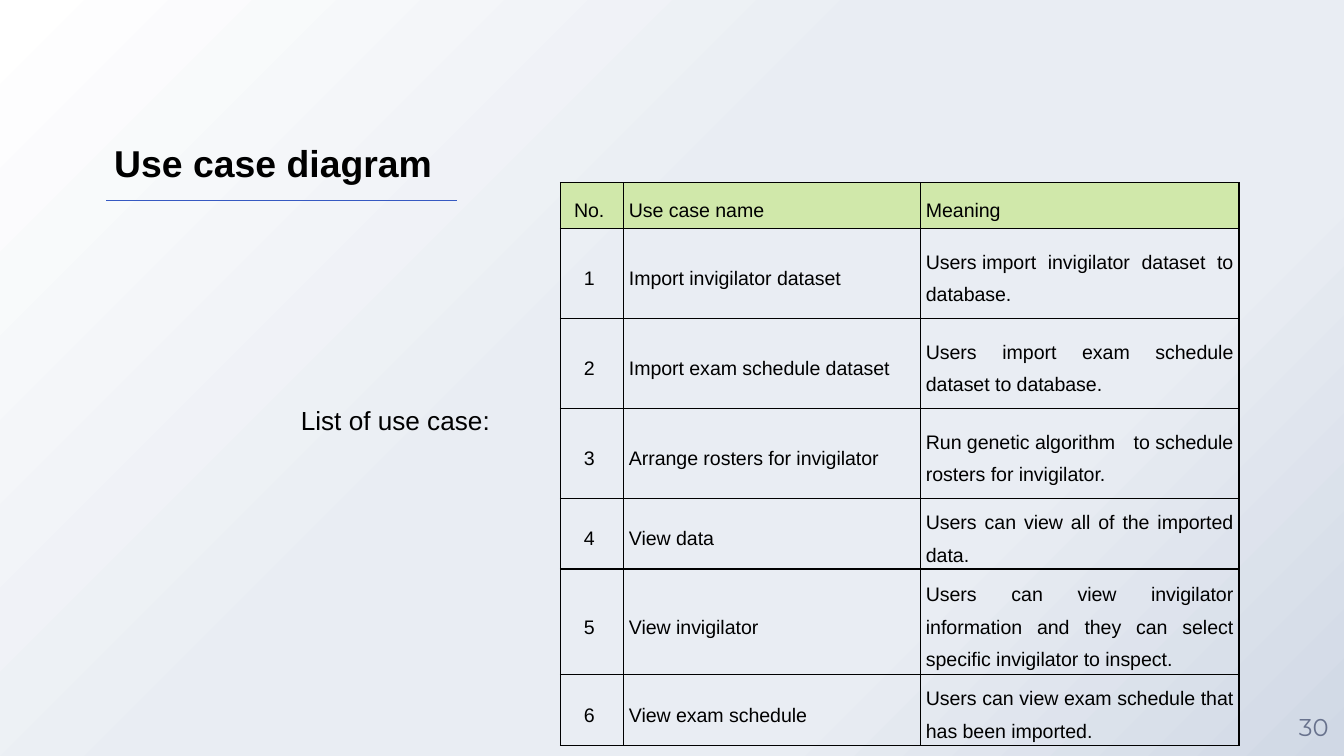
from lxml import etree
from pptx import Presentation
from pptx import util as u
from pptx.dml.color import RGBColor
from pptx.enum import shapes, text
from pptx.oxml import parse_xml
from pptx.oxml.ns import nsdecls, qn

WIDTH = 10
HEIGHT = WIDTH * 9 / 16
HARD_SPACE = chr(160)  # written as ~ in the table's words
COLORS = {
    "black": "000000",
    "header": "D0E8AA",
    "rule": "3659C2",
    "number": "68728D",
}
BACKGROUND_STOPS = [(0, "FFFFFF"), (44, "E9EDF3"), (72, "E9EDF3"), (100, "D0D8E5")]
COLUMN_WIDTHS = [0.47, 2.21, 2.37]
ROW_HEIGHTS = [0.34, 0.67, 0.67, 0.67, 0.41, 0.63, 0.41]
USE_CASES = [
    ("No.~", "Use case name~", "Meaning~"),
    ("1~", "Import invigilator dataset~", "Users~import invigilator dataset to database."),
    ("2~", "Import exam schedule dataset~", "Users import exam schedule dataset to database."),
    ("3~", "Arrange~rosters~for invigilator~",
     "Run~genetic~algorithm to~schedule rosters~for invigilator."),
    ("4~", "View data~", "Users can view all of the imported data.~"),
    ("5~", "View~invigilator~",
     "Users can view invigilator information and they can select specific invigilator to inspect."),
    ("6~", "View~exam schedule~~", "Users can view exam schedule that has been imported."),
]


def color(name):
    return RGBColor.from_string(COLORS[name])


def box(left, top, width, height):
    """Turn shares of the slide's size into lengths."""
    return [u.Inches(round(share * side, 2)) for share, side in
            ((left, WIDTH), (top, HEIGHT), (width, WIDTH), (height, HEIGHT))]


def write(text_frame, words, size, font="Arial", color_name="black", bold=False,
          align=text.PP_ALIGN.LEFT):
    text_frame.text = words
    paragraph = text_frame.paragraphs[0]
    paragraph.alignment = align
    run_font = paragraph.runs[0].font
    run_font.name, run_font.size, run_font.bold = font, u.Pt(size), bold
    run_font.color.rgb = color(color_name)
    return paragraph


def set_margins(target, side=0):
    target.margin_left = target.margin_right = u.Inches(side)
    target.margin_top = target.margin_bottom = 0


def paint_background(slide):
    slide.background.fill.gradient()
    gradient = slide.element.find(".//" + qn("a:gradFill"))
    stops = "".join(f'<a:gs pos="{share * 1000}"><a:srgbClr val="{value}"/></a:gs>'
                    for share, value in BACKGROUND_STOPS)
    gradient.getparent().replace(gradient, parse_xml(
        f'<a:gradFill {nsdecls("a")} rotWithShape="1"><a:gsLst>{stops}</a:gsLst>'
        '<a:path path="circle"><a:fillToRect r="100000" b="100000"/></a:path>'
        '</a:gradFill>'))


def add_title(slide, words):
    title = slide.shapes.title
    title.left, title.top, title.width, title.height = box(0.085, 0.078, 0.392, 0.167)
    frame = title.text_frame
    set_margins(frame)
    frame.vertical_anchor = text.MSO_ANCHOR.BOTTOM
    frame.auto_size = text.MSO_AUTO_SIZE.NONE
    write(frame, words, 20, bold=True)


def add_rule(slide, left, right, top):
    x, y, width, _ = box(left, top, right - left, 0)
    line = slide.shapes.add_connector(shapes.MSO_CONNECTOR.STRAIGHT, x, y, x + width, y)
    line.line.color.rgb = color("rule")
    line.line.width = u.Pt(0.75)
    etree.SubElement(line.element.spPr, qn("a:effectLst"))


def add_label(slide, words):
    frame = slide.shapes.add_textbox(*box(0.214, 0.527, 0.17, 0.06)).text_frame
    frame.word_wrap = True
    frame.auto_size = text.MSO_AUTO_SIZE.SHAPE_TO_FIT_TEXT
    write(frame, words, 14)


def add_slide_number(slide, words):
    frame = slide.shapes.add_textbox(*box(0.955, 0.921, 0.045, 0.08)).text_frame
    frame.word_wrap = True
    frame.vertical_anchor = text.MSO_ANCHOR.MIDDLE
    set_margins(frame)
    write(frame, words, 13, "Montserrat", "number", align=text.PP_ALIGN.CENTER)


def add_borders(cell):
    properties = cell._tc.get_or_add_tcPr()
    for index, side in enumerate(("lnL", "lnR", "lnT", "lnB")):
        properties.insert(index, parse_xml(
            f'<a:{side} {nsdecls("a")} w="{u.Pt(0.75)}"><a:solidFill>'
            f'<a:srgbClr val="{COLORS["black"]}"/></a:solidFill></a:{side}>'))


def fill_cell(cell, words, is_header, is_number):
    if is_header:
        cell.fill.solid()
        cell.fill.fore_color.rgb = color("header")
    else:
        cell.fill.background()
    add_borders(cell)
    set_margins(cell, 0.04)
    cell.vertical_anchor = text.MSO_ANCHOR.MIDDLE
    align = text.PP_ALIGN.CENTER if is_number else text.PP_ALIGN.JUSTIFY
    paragraph = write(cell.text_frame, words.replace("~", HARD_SPACE), 10.5, align=align)
    paragraph.line_spacing = 1.5
    paragraph.space_before = paragraph.space_after = u.Pt(8)


def add_use_case_table(slide):
    left, top, width, height = box(0.417, 0.242, 0.505, 0.729)
    frame = slide.shapes.add_table(len(USE_CASES), len(COLUMN_WIDTHS),
                                   left, top, width, height)
    table = frame.table
    table.first_row = table.horz_banding = False
    for column, column_width in zip(table.columns, COLUMN_WIDTHS):
        column.width = u.Inches(column_width)
    for row, row_height in zip(table.rows, ROW_HEIGHTS):
        row.height = u.Inches(row_height)
    frame.height = height  # rows grow with their text
    for i, entries in enumerate(USE_CASES):
        for j, words in enumerate(entries):
            fill_cell(table.cell(i, j), words, is_header=i == 0, is_number=j == 0)


def main():
    presentation = Presentation()
    presentation.slide_width = u.Inches(WIDTH)
    presentation.slide_height = u.Inches(HEIGHT)
    slide = presentation.slides.add_slide(presentation.slide_layouts[5])
    paint_background(slide)

    # Heading with its rule
    add_title(slide, "Use case diagram")
    add_rule(slide, 0.079, 0.34, 0.265)

    # Use case list
    add_label(slide, "List of use case:")
    add_use_case_table(slide)

    add_slide_number(slide, "30")
    presentation.save("out.pptx")


if __name__ == "__main__":
    main()
